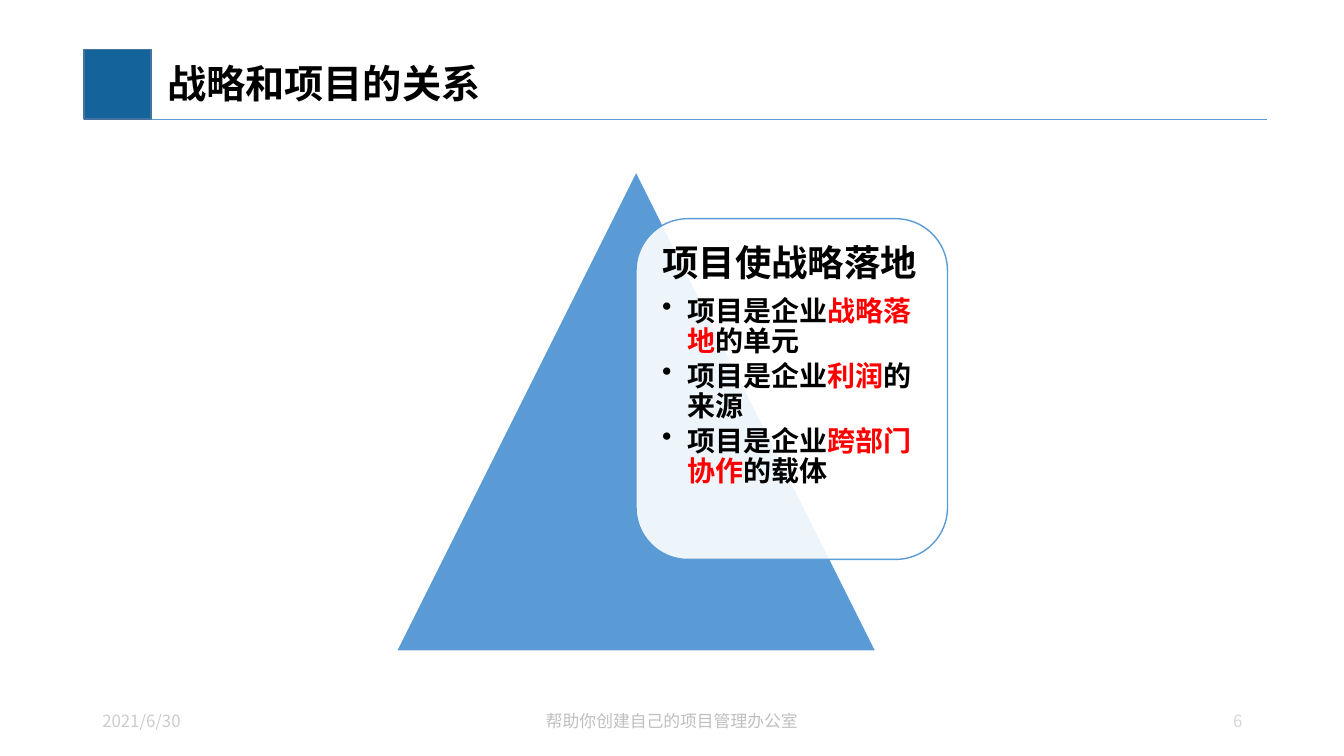
from dataclasses import dataclass

import pptx
import pptx.dml.color
import pptx.enum.shapes
import pptx.enum.text
import pptx.oxml.ns
import pptx.util
from lxml import etree

Pt = pptx.util.Pt
qn = pptx.oxml.ns.qn
MSO_SHAPE = pptx.enum.shapes.MSO_SHAPE
ANCHOR = pptx.enum.text.MSO_ANCHOR
ALIGN = pptx.enum.text.PP_ALIGN

FONT = "Noto Sans CJK SC"
BLACK, WHITE, RED = "000000", "FFFFFF", "FF0000"
BLUE = "5B9BD5"


@dataclass
class Block:
    kind: int
    box: tuple[float, float, float, float]
    fill: str
    line: str
    opacity: int = 100


@dataclass
class Bullet:
    before: str
    key: str
    after: str


@dataclass
class Footer:
    text: str
    box: tuple[float, float, float, float]
    align: int
    color: str


BLOCKS = [
    Block(MSO_SHAPE.RECTANGLE, (60, 35.3, 48, 49.7), "15639B", "43739E"),
    Block(MSO_SHAPE.ISOSCELES_TRIANGLE, (283, 122.4, 342.7, 342.7), BLUE, WHITE),
    Block(MSO_SHAPE.ROUNDED_RECTANGLE, (454.3, 156.2, 222.5, 243.4), WHITE, BLUE, 90),
]
BULLETS = [
    Bullet("项目是企业", "战略落地", "的单元"),
    Bullet("项目是企业", "利润", "的来源"),
    Bullet("项目是企业", "跨部门协作", "的载体"),
]
FOOTERS = [
    Footer("2021/6/30", (66, 500.4, 216, 28.8), ALIGN.LEFT, "CCCCCC"),
    Footer("帮助你创建自己的项目管理办公室", (318, 500.4, 324, 28.8), ALIGN.CENTER, "BFBFBF"),
    Footer("6", (672, 499.7, 222.5, 30.2), ALIGN.RIGHT, "D6D6D6"),
]


def rgb(color: str) -> pptx.dml.color.RGBColor:
    return pptx.dml.color.RGBColor.from_string(color)


def style(p, size: float, color: str, bold: bool = False) -> None:
    p.font.size = Pt(size)
    p.font.bold = bold
    p.font.color.rgb = rgb(color)
    p.font.name = FONT
    props = p._p.get_or_add_pPr().find(qn("a:defRPr"))
    etree.SubElement(props, qn("a:ea"), typeface=FONT)


def set_insets(tf, left: float, top: float, right: float, bottom: float) -> None:
    tf.margin_left, tf.margin_top = Pt(left), Pt(top)
    tf.margin_right, tf.margin_bottom = Pt(right), Pt(bottom)


def add_block(s, block: Block) -> None:
    sp = s.shapes.add_shape(block.kind, *map(Pt, block.box))
    sp.shadow.inherit = False
    sp.fill.solid()
    sp.fill.fore_color.rgb = rgb(block.fill)
    sp.line.color.rgb = rgb(block.line)
    sp.line.width = Pt(1)
    if block.opacity < 100:
        color = sp._element.spPr.find(qn("a:solidFill"))[0]
        etree.SubElement(color, qn("a:alpha"), val=str(block.opacity * 1000))


def add_rule(s) -> None:
    rule = s.shapes.add_connector(
        pptx.enum.shapes.MSO_CONNECTOR.STRAIGHT, Pt(108), Pt(85), Pt(905), Pt(85)
    )
    rule.line.color.rgb = rgb(BLUE)
    rule.line.width = Pt(0.5)
    etree.SubElement(rule._element.spPr, qn("a:effectLst"))


def set_title(s, text: str) -> None:
    sp = s.shapes.title
    sp.left, sp.top, sp.width, sp.height = map(Pt, (108, 36, 786.2, 50.4))
    tf = sp.text_frame
    tf.text = text
    tf.auto_size = pptx.enum.text.MSO_AUTO_SIZE.NONE
    tf.vertical_anchor = ANCHOR.MIDDLE
    set_insets(tf, 11.5, 3.6, 7.2, 3.6)
    p = tf.paragraphs[0]
    p.alignment = ALIGN.LEFT
    p.line_spacing = 0.9
    style(p, 28, BLACK, True)


def add_card_text(s, heading: str, bullets: list[Bullet]) -> None:
    tf = s.shapes.add_textbox(Pt(465.1), Pt(167), Pt(200.9), Pt(221.8)).text_frame
    tf.word_wrap = True
    set_insets(tf, 7.9, 7.9, 7.9, 7.9)
    p = tf.paragraphs[0]
    p.text = heading
    p.line_spacing, p.space_after = Pt(28), Pt(9)
    style(p, 26, BLACK, True)
    for bullet in bullets:
        p = tf.add_paragraph()
        p.level = 1
        p.line_spacing, p.space_after = Pt(21.5), Pt(3.5)
        props = p._p.get_or_add_pPr()
        props.set("marL", str(Pt(18)))
        props.set("indent", str(Pt(-18)))
        etree.SubElement(props, qn("a:buChar"), char="•")
        style(p, 20, BLACK, True)
        for text in (bullet.before, bullet.key, bullet.after):
            r = p.add_run()
            r.text = text
            if text == bullet.key:
                r.font.color.rgb = rgb(RED)


def add_footer(s, footer: Footer) -> None:
    tf = s.shapes.add_textbox(*map(Pt, footer.box)).text_frame
    tf.word_wrap = True
    tf.vertical_anchor = ANCHOR.MIDDLE
    p = tf.paragraphs[0]
    p.text = footer.text
    p.alignment = footer.align
    style(p, 12, footer.color)


def main() -> None:
    prs = pptx.Presentation()
    prs.slide_width, prs.slide_height = Pt(960), Pt(540)
    s = prs.slides.add_slide(prs.slide_layouts[5])
    set_title(s, "战略和项目的关系")
    add_rule(s)
    for block in BLOCKS:
        add_block(s, block)
    add_card_text(s, "项目使战略落地", BULLETS)
    for footer in FOOTERS:
        add_footer(s, footer)
    prs.save("out.pptx")


if __name__ == "__main__":
    main()
